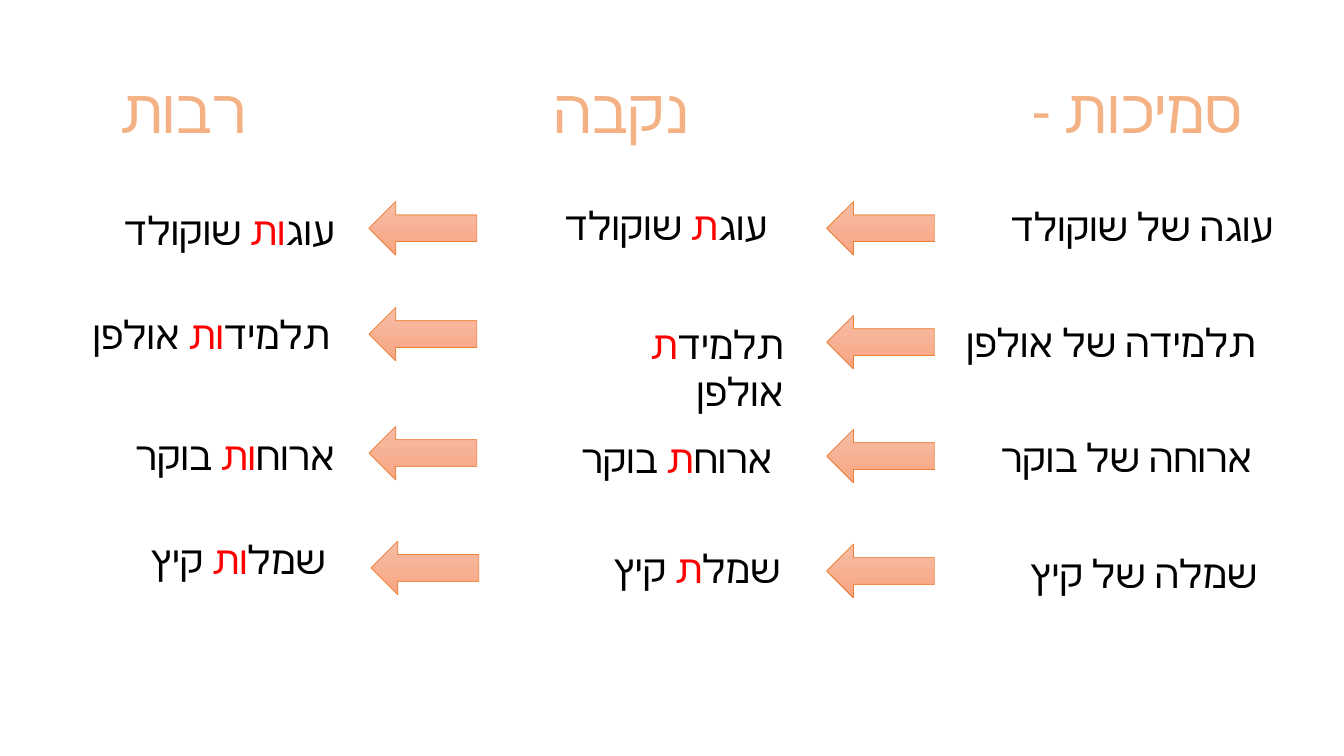
from collections import namedtuple
from pptx import Presentation
from pptx.dml.color import RGBColor
from pptx.enum.shapes import MSO_SHAPE
from pptx.enum.text import MSO_ANCHOR, MSO_AUTO_SIZE, PP_ALIGN
from pptx.oxml.ns import qn
from pptx.util import Inches, Pt

# Grid: 133.3 columns by 75 rows, square cells
CELL = Inches(0.1)
COLUMNS, ROWS = 133.3, 75
FONT = "Calibri"
PEACH, BLACK, RED, ORANGE = "F4B183", "000000", "FF0000", "ED7D31"
ARROW_TOP, ARROW_BOTTOM = "F7BDA5", "F8A582"
ARROW_WIDTH, ARROW_HEIGHT, PHRASE_HEIGHT = 10.7, 5.3, 5.7

Box = namedtuple("Box", "left top width height")

# Each heading: text, left and width
HEADINGS = [("סמיכות -", 90, 34.2), ("נקבה", 45, 24.3), ("רבות", 6, 19.4)]

# Each row: stem, noun, then (left, top, width) of the three phrases
# and (left, top) of the two arrows, from right to left
PHRASE_ROWS = [
    ("עוג", "שוקולד", [(96.9, 0, 30.4), (51.5, -0.1, 25.6), (6.3, 0.4, 27.9)],
     [(82, 0.4), (36.6, 0.4)]),
    ("תלמיד", "אולפן", [(92.7, 11.5, 32.8), (54.5, 11.7, 24.2), (4.1, 10.7, 29.6)],
     [(82, 11.7), (36.6, 10.9)]),
    ("ארוח", "בוקר", [(96.9, 22.9, 28.3), (51.8, 23, 25.8), (6.7, 22.7, 27.5)],
     [(82, 23), (36.6, 22.7)]),
    ("שמל", "קיץ", [(96.3, 34.4, 29.4), (53, 33.9, 25.4), (12.5, 33, 20.8)],
     [(82, 34.4), (36.8, 34.1)]),
]


def color(hex_text):
    return RGBColor.from_string(hex_text)


def place(box, left, top, width, height):
    """Slide lengths of a part given in cells relative to a box."""
    return [round(cells * CELL)
            for cells in (box.left + left, box.top + top, width, height)]


def write(frame, pieces, size=28, anchor=MSO_ANCHOR.TOP, spacing=1.0,
          fit=MSO_AUTO_SIZE.NONE):
    """Right-to-left paragraph from (text, colour) pieces."""
    frame.word_wrap = True
    frame.auto_size = fit
    frame.vertical_anchor = anchor
    para = frame.paragraphs[0]
    para.alignment = PP_ALIGN.RIGHT
    para.line_spacing = spacing
    para._p.get_or_add_pPr().set("rtl", "1")
    for text, hex_text in pieces:
        span = para.add_run()
        span.text = text
        span.font.name = FONT
        span.font.size = Pt(size)
        span.font.color.rgb = color(hex_text)
        # Hebrew uses the complex-script font
        script_font = span.font._element.makeelement(qn("a:cs"), {"typeface": FONT})
        span.font._element.append(script_font)


def add_headings(page, box):
    for index, (text, left, width) in enumerate(HEADINGS):
        spot = place(box, left, 0, width, box.height)
        if index == 0:
            heading = page.shapes.title
            heading.left, heading.top, heading.width, heading.height = spot
        else:
            heading = page.shapes.add_textbox(*spot)
        write(heading.text_frame, [(text, PEACH)], size=44,
              anchor=MSO_ANCHOR.MIDDLE, spacing=0.9)


def add_arrow(page, box, left, top):
    arrow = page.shapes.add_shape(
        MSO_SHAPE.LEFT_ARROW, *place(box, left, top, ARROW_WIDTH, ARROW_HEIGHT))
    arrow.shadow.inherit = False
    arrow.fill.gradient()
    arrow.fill.gradient_angle = 270
    stops = zip(arrow.fill.gradient_stops, (ARROW_TOP, ARROW_BOTTOM))
    for position, (stop, hex_text) in enumerate(stops):
        stop.position = position
        stop.color.rgb = color(hex_text)
    arrow.line.color.rgb = color(ORANGE)
    arrow.line.width = Pt(0.5)


def add_phrases(page, box):
    for stem, noun, phrase_spots, arrow_spots in PHRASE_ROWS:
        phrases = [
            [(f"{stem}ה של {noun}", BLACK)],
            [(stem, BLACK), ("ת", RED), (f" {noun}", BLACK)],
            [(stem, BLACK), ("ות", RED), (f" {noun}", BLACK)],
        ]
        for left, top in arrow_spots:
            add_arrow(page, box, left, top)
        for pieces, (left, top, width) in zip(phrases, phrase_spots):
            phrase = page.shapes.add_textbox(
                *place(box, left, top, width, PHRASE_HEIGHT))
            write(phrase.text_frame, pieces, fit=MSO_AUTO_SIZE.SHAPE_TO_FIT_TEXT)


deck = Presentation()
deck.slide_width, deck.slide_height = round(COLUMNS * CELL), ROWS * CELL
page = deck.slides.add_slide(deck.slide_layouts[5])
add_headings(page, Box(0, 4, COLUMNS, 14.5))
add_phrases(page, Box(0, 19.6, COLUMNS, 42))
deck.save("out.pptx")
